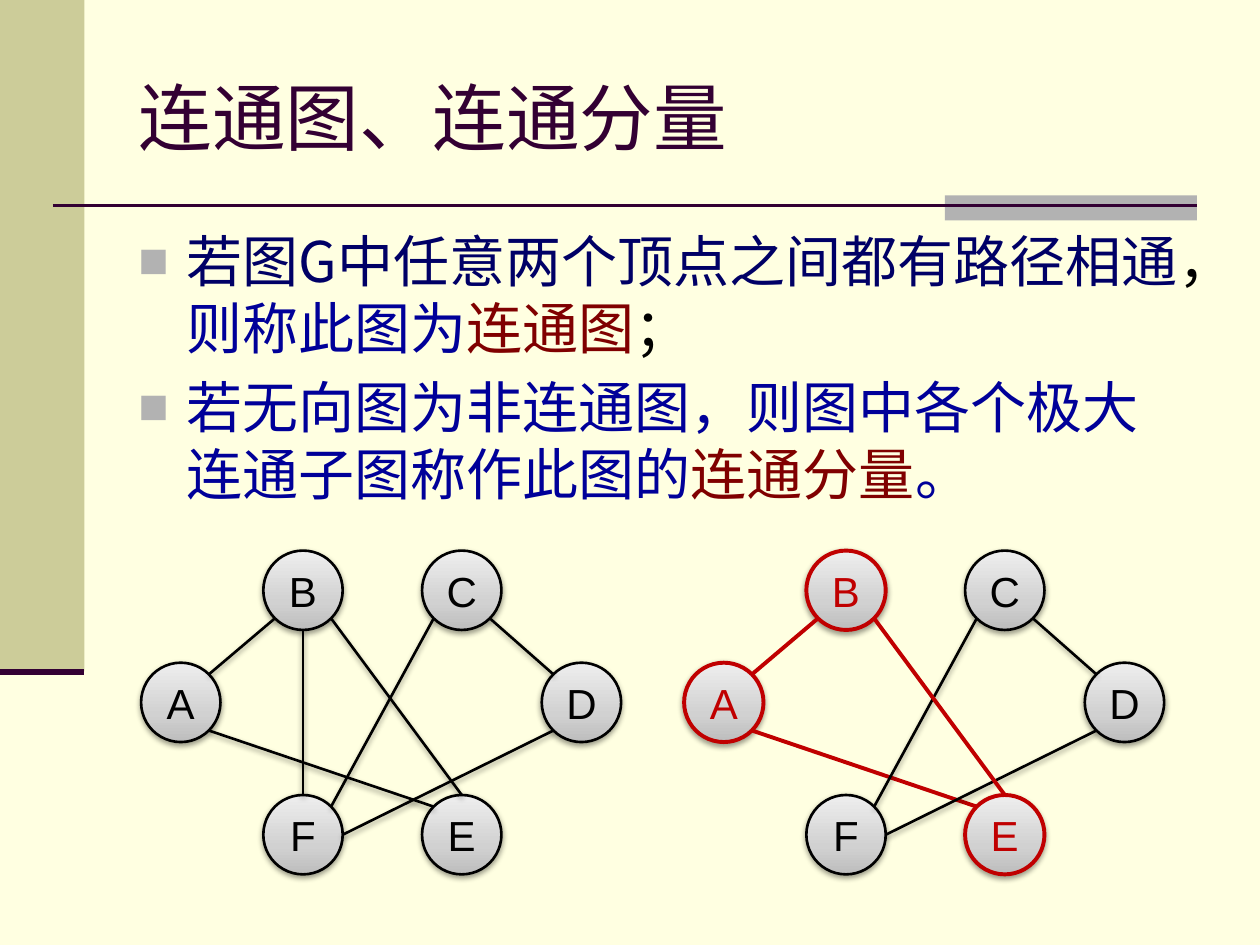
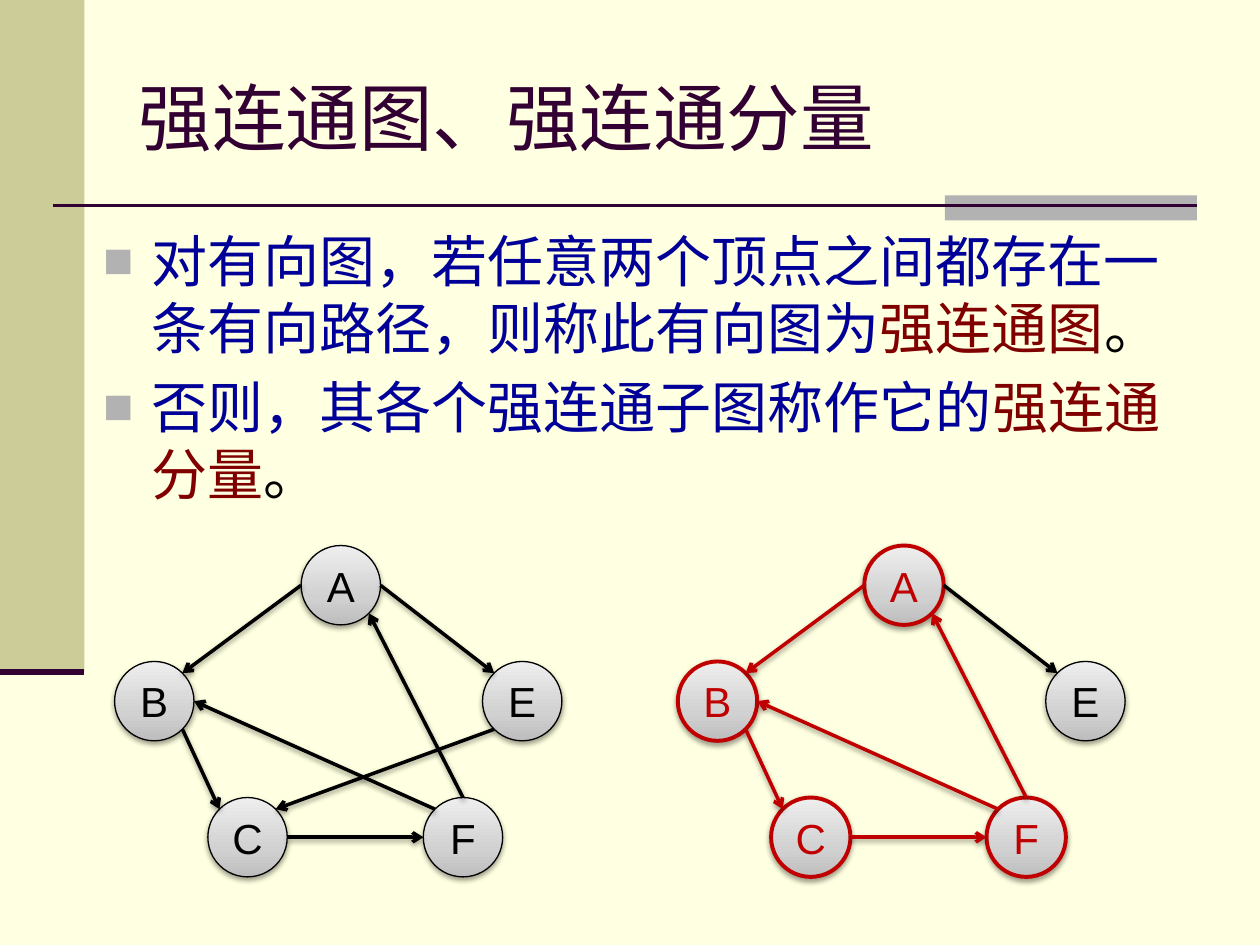
import math

import pptx
import pptx.dml.color
import pptx.enum.shapes
import pptx.enum.text
import pptx.oxml
import pptx.oxml.ns
import pptx.util

Inches = pptx.util.Inches
Pt = pptx.util.Pt
RGBColor = pptx.dml.color.RGBColor
MSO_SHAPE = pptx.enum.shapes.MSO_SHAPE
qn = pptx.oxml.ns.qn

CREAM = RGBColor(0xFF, 0xFF, 0xE1)
OLIVE = RGBColor(0xCC, 0xCC, 0x99)
GRAY = RGBColor(0xB2, 0xB2, 0xB2)
PLUM = RGBColor(0x33, 0x00, 0x33)
NAVY = RGBColor(0x00, 0x00, 0x66)
BLUE = RGBColor(0x00, 0x00, 0x99)
MAROON = RGBColor(0x80, 0x00, 0x00)
BLACK = RGBColor(0x00, 0x00, 0x00)
RED = RGBColor(0xC0, 0x00, 0x00)
NODE_STOPS = (
    (0, RGBColor(0xBD, 0xBD, 0xBD)),
    (35, RGBColor(0xD1, 0xD1, 0xD1)),
    (100, RGBColor(0xEE, 0xEE, 0xEE)),
)

LATIN = "Arial"
SERIF = "Times New Roman"
CHINESE = "Noto Sans CJK SC"

NODE_SIZE = 0.63
HIGHLIGHT_WIDTH = 2.25
PORT_ANGLES = {port: 45 * step for step, port in
               enumerate(("e", "se", "s", "sw", "w", "nw", "n", "ne"))}

UNDIRECTED_NODES = {"A": (0, 0.89), "B": (0.97, 0), "C": (2.23, 0),
                    "D": (3.18, 0.89), "E": (2.23, 1.94), "F": (0.97, 1.94)}
UNDIRECTED_EDGES = ["A.ne B.sw", "A.se E.nw", "F.n B.s", "F.ne C.sw",
                    "F.e D.sw", "D.nw C.se", "E.n B.se"]
DIRECTED_NODES = {"A": (1.48, 0), "B": (0, 0.92), "C": (0.74, 2),
                  "E": (2.92, 0.92), "F": (2.45, 2)}
DIRECTED_EDGES = ["A.w B.ne", "A.e E.nw", "B.se C.nw", "F.n A.se",
                  "E.sw C.ne", "F.nw B.e", "C.e F.w"]


def xml_element(markup):
    namespace = pptx.oxml.ns.nsdecls("a")
    tag, rest = markup.split(" ", 1) if " " in markup.split(">")[0] else markup.split(">", 1)
    separator = " " if " " in markup.split(">")[0] else ">"
    return pptx.oxml.parse_xml(f"{tag} {namespace}{separator}{rest}")


def set_effects(shape, shadowed):
    shadow = (
        '<a:outerShdw blurRad="40000" dist="20000" dir="5400000" rotWithShape="0">'
        '<a:srgbClr val="000000"><a:alpha val="38000"/></a:srgbClr></a:outerShdw>'
    ) if shadowed else ""
    shape._element.spPr.append(xml_element(f"<a:effectLst>{shadow}</a:effectLst>"))


def add_run(paragraph, text, size, color, font=LATIN):
    run = paragraph.add_run()
    run.text = text
    run.font.size = Pt(size)
    run.font.name = font
    run.font.color.rgb = color
    run._r.get_or_add_rPr().find(qn("a:latin")).addnext(
        xml_element(f'<a:ea typeface="{CHINESE}"/>'))


def add_line(shapes, start, end, color, width):
    connector = shapes.add_connector(
        pptx.enum.shapes.MSO_CONNECTOR.STRAIGHT,
        *(Inches(value) for value in (*start, *end)))
    connector.line.color.rgb = color
    connector.line.width = Pt(width)
    return connector


def add_rectangle(slide, box, color):
    rectangle = slide.shapes.add_shape(
        MSO_SHAPE.RECTANGLE, *(Inches(value) for value in box))
    rectangle.shadow.inherit = False
    rectangle.fill.solid()
    rectangle.fill.fore_color.rgb = color
    rectangle.line.fill.background()


def add_frame(slide):
    add_rectangle(slide, (0, 0, 0.67, 5.33), OLIVE)
    add_rectangle(slide, (7.5, 1.55, 2, 0.2), GRAY)
    for start, end, width in (((0.42, 1.63), (9.5, 1.63), 1.5),
                              ((0, 5.33), (0.67, 5.33), 3.5)):
        set_effects(add_line(slide.shapes, start, end, PLUM, width), False)


def set_title(slide, text):
    title = slide.shapes.title
    title.left, title.top, title.width, title.height = (
        Inches(value) for value in (1, 0.3, 8.5, 1.25))
    frame = title.text_frame
    frame.auto_size = pptx.enum.text.MSO_AUTO_SIZE.NONE
    frame.vertical_anchor = pptx.enum.text.MSO_ANCHOR.MIDDLE
    paragraph = frame.paragraphs[0]
    paragraph.alignment = pptx.enum.text.PP_ALIGN.LEFT
    add_run(paragraph, text, 42, PLUM)


def format_bullet(paragraph):
    properties = paragraph._p.get_or_add_pPr()
    properties.set("marL", str(Inches(0.38)))
    properties.set("indent", str(-Inches(0.38)))
    for markup in (
        '<a:spcBef><a:spcPct val="20000"/></a:spcBef>',
        f'<a:buClr><a:srgbClr val="{GRAY}"/></a:buClr>',
        '<a:buSzPct val="90000"/>',
        f'<a:buFont typeface="{LATIN}"/>',
        '<a:buChar char="■"/>',
    ):
        properties.append(xml_element(markup))


def add_body(slide, box, bullets):
    body = slide.shapes.add_textbox(*(Inches(value) for value in box))
    frame = body.text_frame
    frame.word_wrap = True
    for index, runs in enumerate(bullets):
        paragraph = frame.add_paragraph() if index else frame.paragraphs[0]
        format_bullet(paragraph)
        for text, color, font in runs:
            add_run(paragraph, text, 32, color, font)


def add_node(shapes, label, position, color, width):
    node = shapes.add_shape(
        MSO_SHAPE.OVAL,
        *(Inches(value) for value in (*position, NODE_SIZE, NODE_SIZE)))
    stops = "".join(
        f'<a:gs pos="{place * 1000}"><a:srgbClr val="{shade}"/></a:gs>'
        for place, shade in NODE_STOPS)
    node._element.spPr.append(xml_element(
        f'<a:gradFill rotWithShape="1"><a:gsLst>{stops}</a:gsLst>'
        '<a:lin ang="16200000" scaled="0"/></a:gradFill>'))
    node.line.color.rgb = color
    node.line.width = Pt(width)
    set_effects(node, True)
    frame = node.text_frame
    frame.margin_left = frame.margin_right = 0
    frame.margin_top = frame.margin_bottom = 0
    frame.vertical_anchor = pptx.enum.text.MSO_ANCHOR.MIDDLE
    paragraph = frame.paragraphs[0]
    paragraph.alignment = pptx.enum.text.PP_ALIGN.CENTER
    add_run(paragraph, label, 24, color)


def port_point(position, port):
    angle = math.radians(PORT_ANGLES[port])
    radius = NODE_SIZE / 2
    return (position[0] + radius * (1 + math.cos(angle)),
            position[1] + radius * (1 + math.sin(angle)))


def add_graph(slide, origin, nodes, edges, node_width, directed=False, component=""):
    shapes = slide.shapes.add_group_shape().shapes
    positions = {label: (origin[0] + x, origin[1] + y)
                 for label, (x, y) in nodes.items()}
    for label, position in positions.items():
        highlighted = label in component
        add_node(shapes, label, position, RED if highlighted else BLACK,
                 HIGHLIGHT_WIDTH if highlighted else node_width)
    for edge in edges:
        ends = [end.split(".") for end in edge.split()]
        highlighted = all(label in component for label, port in ends)
        start, end = (port_point(positions[label], port) for label, port in ends)
        plain_width = 2 if directed else node_width
        width = HIGHLIGHT_WIDTH if highlighted and not directed else plain_width
        connector = add_line(shapes, start, end, RED if highlighted else BLACK, width)
        if directed:
            connector._element.spPr.find(qn("a:ln")).append(
                xml_element('<a:tailEnd type="arrow"/>'))
        set_effects(connector, directed or not highlighted)


def add_base_slide(presentation, title):
    slide = presentation.slides.add_slide(presentation.slide_layouts[5])
    slide.background.fill.solid()
    slide.background.fill.fore_color.rgb = CREAM
    add_frame(slide)
    set_title(slide, title)
    return slide


def add_connected_slide(presentation):
    slide = add_base_slide(presentation, "连通图、连通分量")
    add_body(slide, (1, 1.75, 8.5, 2.5), [
        [("若图G中任意两个顶点之间都有路径相通", NAVY, CHINESE),
         ("，", BLACK, CHINESE),
         ("则称此图为", BLUE, CHINESE),
         ("连通图", MAROON, CHINESE),
         ("；", BLACK, CHINESE)],
        [("若无向图为非连通图，则图中各个极大连通子图称作此图的", BLUE, SERIF),
         ("连通分量", MAROON, SERIF),
         ("。", BLUE, SERIF)],
    ])
    add_graph(slide, (1.12, 4.37), UNDIRECTED_NODES, UNDIRECTED_EDGES, 1.5)
    remaining = [edge for edge in UNDIRECTED_EDGES if edge != "F.n B.s"]
    add_graph(slide, (5.43, 4.37), UNDIRECTED_NODES, remaining, 1.5, component="ABE")


def add_strongly_connected_slide(presentation):
    slide = add_base_slide(presentation, "强连通图、强连通分量")
    add_body(slide, (0.72, 1.75, 8.98, 2.5), [
        [("对有向图，若任意两个顶点之间都存在一条有向路径，则称此有向图为", BLUE, SERIF),
         ("强连通图", MAROON, SERIF),
         ("。", BLACK, SERIF)],
        [("否则，其各个强连通子图称作它的", BLUE, SERIF),
         ("强连通分量", MAROON, SERIF),
         ("。", BLACK, SERIF)],
    ])
    add_graph(slide, (0.91, 4.33), DIRECTED_NODES, DIRECTED_EDGES, 0.75, directed=True)
    remaining = [edge for edge in DIRECTED_EDGES if edge != "E.sw C.ne"]
    add_graph(slide, (5.38, 4.33), DIRECTED_NODES, remaining, 0.75,
              directed=True, component="ABCF")


def main():
    presentation = pptx.Presentation()
    presentation.slide_width = Inches(10)
    presentation.slide_height = Inches(7.5)
    add_connected_slide(presentation)
    add_strongly_connected_slide(presentation)
    presentation.save("out.pptx")


if __name__ == "__main__":
    main()
